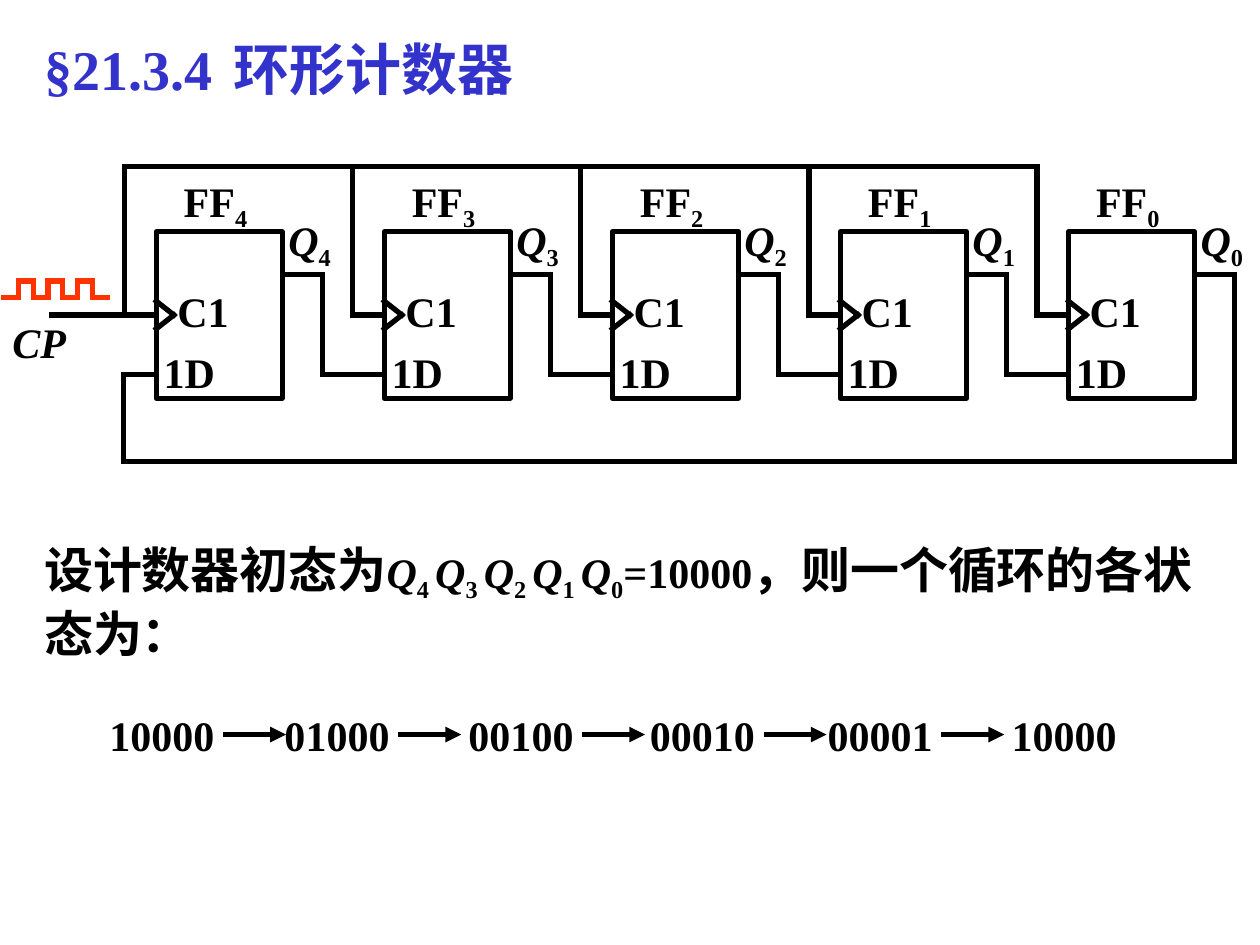
"""Build the ring counter slide with its circuit and state cycle."""
import dataclasses
import itertools
import typing

import lxml.etree
import pptx
import pptx.dml.color
import pptx.enum.shapes
import pptx.enum.text
import pptx.oxml.ns
import pptx.util

Inches = pptx.util.Inches
Color = pptx.dml.color.RGBColor
Point = tuple[float, float]


@dataclasses.dataclass(frozen=True)
class Theme:
    font: str = "Times New Roman"
    ink: Color = Color(0x00, 0x00, 0x00)
    paper: Color = Color(0xFF, 0xFF, 0xFF)
    title: Color = Color(0x33, 0x33, 0xCC)
    pulse: Color = Color(0xFF, 0x33, 0x00)
    head: int = 32
    lead: int = 28
    label: int = 24
    line: int = 3


THEME = Theme()


@dataclasses.dataclass(frozen=True)
class Bit:
    text: str
    size: int = THEME.label
    italic: bool = False
    sub: bool = False
    color: Color = THEME.ink


@dataclasses.dataclass(frozen=True)
class Stage:
    index: int
    left: float


class State(typing.NamedTuple):
    code: str
    left: float


STAGES = [Stage(4 - i, 1.24 + 1.81 * i) for i in range(5)]
STATES = [
    State("10000", 0.77), State("01000", 2.16), State("00100", 3.62),
    State("00010", 5.06), State("00001", 6.47), State("10000", 7.93),
]
TOP, WIDE, HIGH = 1.84, 1.0, 1.32
CLOCK = TOP + HIGH / 2
OUT, DATA = 2.18, 2.97
BUS, BACK = 1.32, 3.66
DROP = 0.25
LINK = 1.32


def element(parent, tag: str, **attrs: str):
    return lxml.etree.SubElement(parent, pptx.oxml.ns.qn(tag), **attrs)


def place(shape, left: float, top: float, width: float, height: float) -> None:
    shape.left, shape.top = Inches(left), Inches(top)
    shape.width, shape.height = Inches(width), Inches(height)


def write(shape, bits: list[Bit], tab: float = 0) -> None:
    frame = shape.text_frame
    frame.word_wrap = True
    frame.auto_size = pptx.enum.text.MSO_AUTO_SIZE.SHAPE_TO_FIT_TEXT
    frame.vertical_anchor = pptx.enum.text.MSO_ANCHOR.TOP
    para = frame.paragraphs[0]
    props = para._p.get_or_add_pPr()
    props.set("marL", "0")
    props.set("indent", "0")
    element(props, "a:buNone")
    if tab:
        stops = element(props, "a:tabLst")
        element(stops, "a:tab", pos=str(Inches(tab)), algn="l")
    para.alignment = pptx.enum.text.PP_ALIGN.LEFT
    para.space_before = pptx.util.Pt(0)
    for bit in bits:
        run = para.add_run()
        run.text = bit.text
        run.font.name = THEME.font
        run.font.size = pptx.util.Pt(bit.size)
        run.font.bold = True
        run.font.italic = bit.italic
        run.font.color.rgb = bit.color
        if bit.sub:
            run._r.get_or_add_rPr().set("baseline", "-25000")


def label(slide, left: float, top: float, width: float, height: float,
          bits: list[Bit]) -> None:
    box = slide.shapes.add_textbox(0, 0, 0, 0)
    place(box, left, top, width, height)
    write(box, bits)


def wire(slide, start: Point, end: Point, color: Color = THEME.ink,
         arrow: bool = False):
    line = slide.shapes.add_connector(
        pptx.enum.shapes.MSO_CONNECTOR.STRAIGHT,
        *(Inches(value) for value in start + end))
    line.line.color.rgb = color
    line.line.width = pptx.util.Pt(THEME.line)
    props = line.line._get_or_add_ln()
    if arrow:
        element(props, "a:tailEnd", type="triangle")
    else:
        props.set("cap", "sq")
    element(line._element.spPr, "a:effectLst")
    return line


def route(slide, points: list[Point], color: Color = THEME.ink) -> None:
    for start, end in itertools.pairwise(points):
        wire(slide, start, end, color)


def indexed(name: str, index: int, italic: bool = False,
            tail: str = "") -> list[Bit]:
    return [Bit(name, italic=italic), Bit(f"{index}{tail}", sub=True)]


def draw_stage(slide, stage: Stage) -> None:
    left = stage.left
    box = slide.shapes.add_shape(
        pptx.enum.shapes.MSO_SHAPE.RECTANGLE, 0, 0, 0, 0)
    place(box, left, TOP, WIDE, HIGH)
    box.shadow.inherit = False
    box.fill.solid()
    box.fill.fore_color.rgb = THEME.paper
    box.line.color.rgb = THEME.ink
    box.line.width = pptx.util.Pt(THEME.line)
    begin = 0.41 if stage == STAGES[0] else left - DROP
    wire(slide, (begin, CLOCK), (left, CLOCK)).end_connect(box, 1)
    wire(slide, (left - DROP, BUS), (left - DROP, CLOCK))
    route(slide, [(left, CLOCK - 0.11), (left + 0.14, CLOCK),
                  (left, CLOCK + 0.11)])
    label(slide, left + 0.12, 1.34, 0.82, 0.56, indexed("FF", stage.index))
    label(slide, left + 0.95, 1.65, 0.67, 0.56,
          indexed("Q", stage.index, italic=True))
    label(slide, left + 0.07, 2.22, 0.67, 0.5, [Bit("C1")])
    label(slide, left - 0.04, 2.7, 0.67, 0.5, [Bit("1D")])


def draw_circuit(slide) -> None:
    for stage in STAGES:
        draw_stage(slide, stage)
    for stage, after in itertools.pairwise(STAGES):
        turn = stage.left + LINK
        route(slide, [(stage.left + WIDE, OUT), (turn, OUT), (turn, DATA),
                      (after.left, DATA)])
    first, last = STAGES[0].left, STAGES[-1].left
    wire(slide, (first - DROP, BUS), (last - DROP, BUS))
    turn, back = last + LINK, first - 0.26
    route(slide, [(last + WIDE, OUT), (turn, OUT), (turn, BACK),
                  (back, BACK), (back, DATA), (first, DATA)])
    label(slide, 0, 2.46, 0.74, 0.5, [Bit("CP", italic=True)])
    pulse = [(0.03 + 0.117 * ((k + 1) // 2), 2.23 if k // 2 % 2 else 2.36)
             for k in range(14)]
    route(slide, pulse, THEME.pulse)


def draw_states(slide) -> None:
    for state in STATES:
        label(slide, state.left, 5.58, 1.17, 0.5, [Bit(state.code)])
    for state in STATES[:-1]:
        wire(slide, (state.left + 1, 5.83), (state.left + 1.5, 5.83),
             arrow=True)


def main() -> None:
    deck = pptx.Presentation()
    deck.slide_width, deck.slide_height = Inches(10), Inches(7.5)
    slide = deck.slides.add_slide(deck.slide_layouts[1])
    title, body = slide.shapes.title, slide.placeholders[1]
    place(title, 0.25, 0.22, 4.62, 0.64)
    write(title, [Bit("§21.3.4\t环形计数器", THEME.head, color=THEME.title)],
          tab=1.66)
    place(body, 0.25, 4.23, 9.36, 1.08)
    bits = [Bit("设计数器初态为", THEME.lead)]
    for stage in STAGES:
        bits += indexed("Q", stage.index, True, " " if stage.index else "")
    bits += [Bit("=10000"), Bit("，则一个循环的各状态为：", THEME.lead)]
    write(body, bits)
    draw_states(slide)
    draw_circuit(slide)
    deck.save("out.pptx")


if __name__ == "__main__":
    main()
